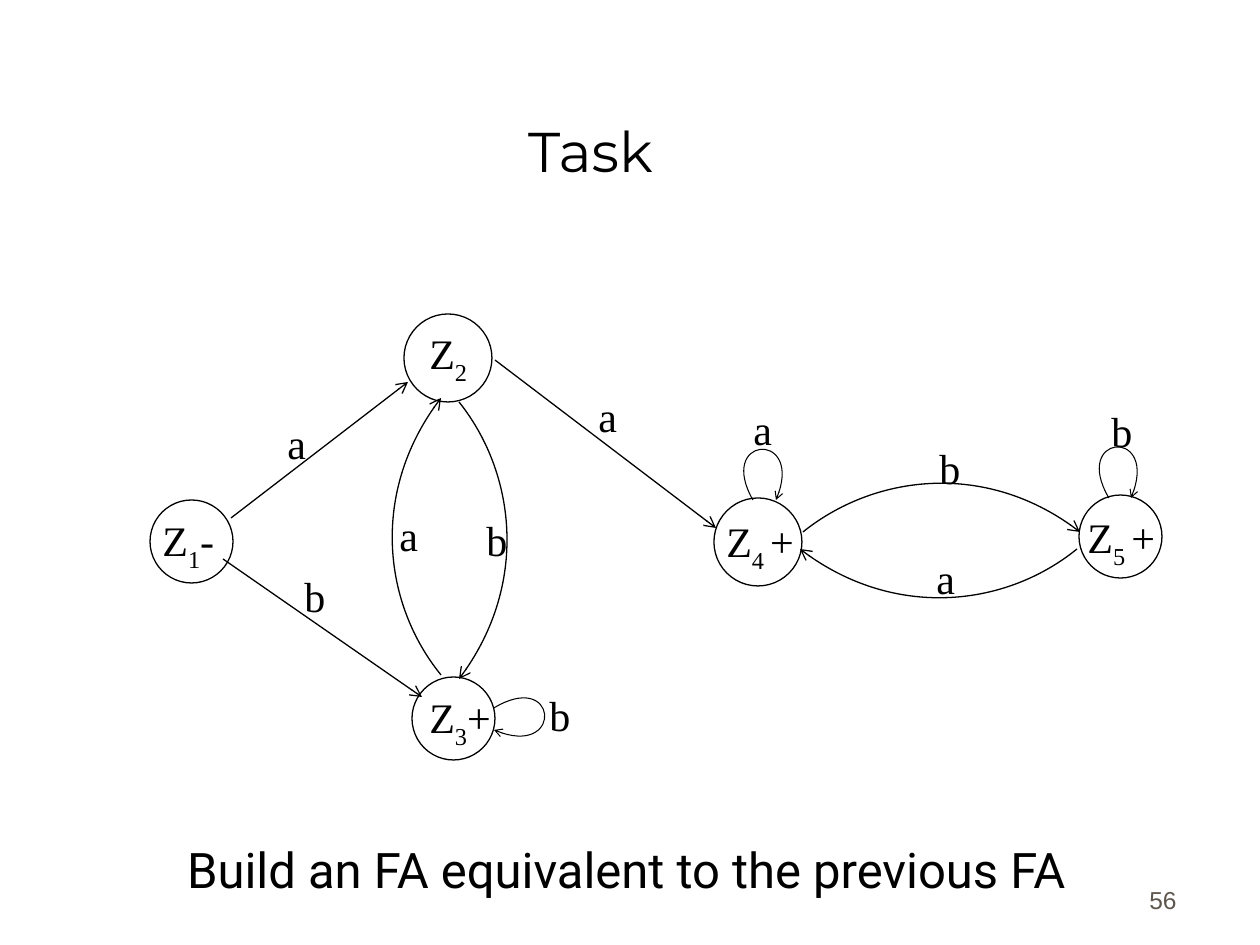
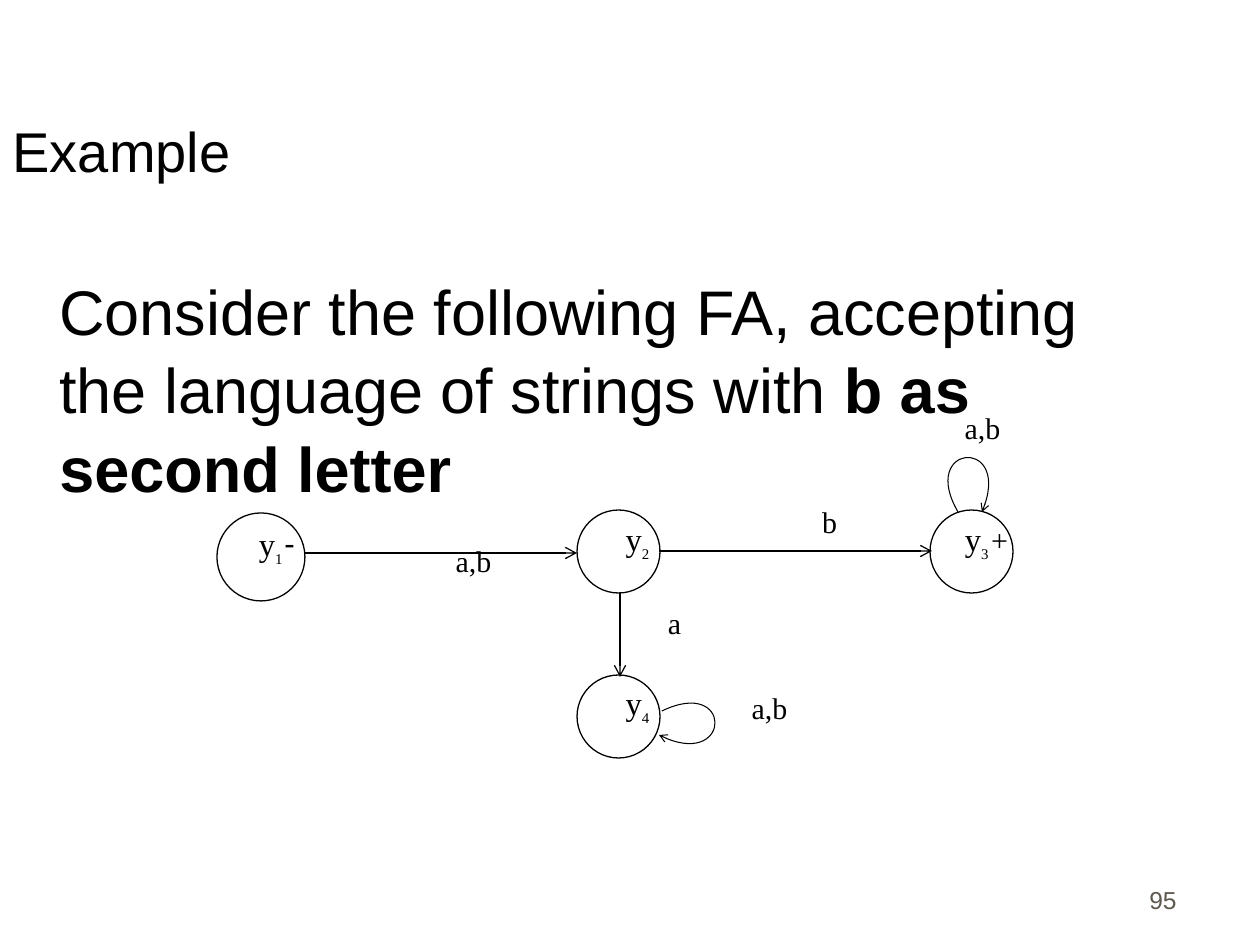
from lxml import etree
from pptx import Presentation
from pptx.dml.color import RGBColor
from pptx.enum.shapes import MSO_CONNECTOR, MSO_SHAPE
from pptx.enum.text import MSO_ANCHOR, PP_ALIGN
from pptx.oxml.ns import qn
from pptx.util import Emu, Pt

LEFT, CENTER, RIGHT = PP_ALIGN.LEFT, PP_ALIGN.CENTER, PP_ALIGN.RIGHT
TOP, BOTTOM = MSO_ANCHOR.TOP, MSO_ANCHOR.BOTTOM
OVAL = MSO_SHAPE.OVAL
STRAIGHT = MSO_CONNECTOR.STRAIGHT

SCALE = 914400 / 126
BLACK, WHITE, GREY = "000000", "FFFFFF", "5E574E"
SANS, SERIF, HEAD, BODY = "Arial", "Times New Roman", "Montserrat", "Roboto"


def px(value):
    return Emu(round(value * SCALE))


def color(value):
    return RGBColor.from_string(value)


def style(run, size, font, ink=BLACK, bold=False, low=False):
    run.font.size = Pt(size)
    run.font.name = font
    run.font.bold = bold
    run.font.color.rgb = color(ink)
    if low:
        run.font._element.set("baseline", "-30000")


def write(slide, box, parts, align=LEFT, anchor=TOP, space=None):
    frame = slide.shapes.add_textbox(*map(px, box)).text_frame
    frame.word_wrap = True
    frame.vertical_anchor = anchor
    para = frame.paragraphs[0]
    para.alignment = align
    if space:
        para.line_spacing = space
    for text, look in parts:
        run = para.add_run()
        run.text = text
        style(run, **look)


def add_page(deck, title, left, font, align, number):
    slide = deck.slides.add_slide(deck.slide_layouts[5])
    head = slide.shapes.title
    head.left, head.top, head.width, head.height = map(px, (left, 32, 1071, 158))
    frame = head.text_frame
    frame.text = title
    frame.vertical_anchor = BOTTOM
    para = frame.paragraphs[0]
    para.alignment = align
    style(para.runs[0], 32, font)
    look = dict(size=14, font=SANS, ink=GREY)
    write(slide, (927, 858, 262, 63), [(number, look)], RIGHT, BOTTOM)
    return slide


def outline(shape, width):
    shape.line.color.rgb = color(BLACK)
    shape.line.width = Pt(width)


def add_head(shape, size):
    line = shape._element.spPr.find(qn("a:ln"))
    etree.SubElement(line, qn("a:tailEnd"), type="arrow", w=size, len=size)


def add_ring(slide, left, top, size):
    ring = slide.shapes.add_shape(OVAL, px(left), px(top), px(size), px(size))
    ring.shadow.inherit = False
    ring.fill.solid()
    ring.fill.fore_color.rgb = color(WHITE)
    outline(ring, 0.75)


def add_arrow(slide, *ends):
    arrow = slide.shapes.add_connector(STRAIGHT, *map(px, ends))
    outline(arrow, 0.75)
    add_head(arrow, "med")
    etree.SubElement(arrow._element.spPr, qn("a:effectLst"))


def add_curve(slide, points, width=0.75, head="med"):
    draft = slide.shapes.build_freeform(*points[0], scale=SCALE)
    draft.add_line_segments(points[1:], close=False)
    curve = draft.convert_to_shape()
    track = next(curve._element.iter(qn("a:path")))
    bend = etree.Element(qn("a:cubicBezTo"))
    for step in track.findall(qn("a:lnTo")):
        bend.append(step[0])
        track.remove(step)
    track.append(bend)
    curve.fill.background()
    outline(curve, width)
    add_head(curve, head)
    curve.shadow.inherit = False


def add_loop(slide, points):
    add_curve(slide, points, 0.6, "sm")


def build_task(deck):
    slide = add_page(deck, "Task", 55, HEAD, CENTER, "56")
    goal = "Build an FA equivalent to the previous FA"
    write(slide, (63, 833, 1126, 70), [(goal, dict(size=28, font=BODY))], CENTER)

    states = [
        ((150, 500, 83), (150, 508), "1", "-"),
        ((404, 314, 88), (417, 321), "2", ""),
        ((412, 677, 83), (417, 685), "3", "+"),
        ((714, 498, 88), (714, 509), "4 ", "+"),
        ((1079, 495, 83), (1075, 505), "5 ", "+"),
    ]
    plain = dict(size=24, font=SERIF)
    low = dict(plain, low=True)
    for ring, spot, digit, sign in states:
        add_ring(slide, *ring)
        parts = [("Z", plain), (digit, low)]
        if sign:
            parts.append((sign, plain))
        write(slide, (*spot, 98, 72), parts)

    for ends in [(495, 360, 716, 528), (231, 518, 408, 382), (223, 559, 422, 697)]:
        add_arrow(slide, *ends)

    arcs = [
        [(441, 675), (384, 605), (370, 490), (441, 398)],
        [(459, 402), (515, 472), (529, 587), (459, 679)],
        [(1077, 549), (1007, 606), (892, 620), (800, 549)],
        [(803, 532), (874, 475), (989, 461), (1080, 532)],
    ]
    for points in arcs:
        add_curve(slide, points)

    loops = [
        [(494, 708), (557, 670), (564, 760), (494, 730)],
        [(1109, 498), (1072, 435), (1161, 427), (1131, 498)],
        [(753, 500), (717, 437), (806, 430), (776, 500)],
    ]
    for points in loops:
        add_loop(slide, points)

    labels = {
        "a": [(387, 503), (586, 384), (741, 397), (924, 546), (275, 411)],
        "b": [(292, 564), (474, 508), (537, 683), (927, 436), (1099, 399)],
    }
    for text, spots in labels.items():
        for spot in spots:
            write(slide, (*spot, 98, 63), [(text, plain)])


def build_sample(deck):
    slide = add_page(deck, "Example", 0, SANS, LEFT, "95")
    plain = dict(size=36, font=SANS)
    intro = "Consider the following FA, accepting the language of strings with "
    parts = [(intro, plain), ("b as second letter", dict(plain, bold=True))]
    write(slide, (47, 263, 1079, 240), parts, space=1.04)

    states = [
        ((217, 513, 88), (226, 523), "1", "-", dict(size=18.6, font=BODY)),
        ((577, 510, 83), (587, 518), "2", "", None),
        ((930, 510, 83), (936, 518), "3", "+", dict(size=17.1, font=SERIF)),
        ((577, 675, 83), (587, 682), "4", "", None),
    ]
    name = dict(size=18.6, font=SERIF)
    low = dict(size=14.7, font=SERIF, low=True)
    gap = dict(low, size=10.1)
    for ring, spot, digit, sign, look in states:
        add_ring(slide, *ring)
        parts = [("y", name), (digit, low)]
        if sign:
            parts += [(" ", gap), (sign, look)]
        write(slide, (*spot, 101, 57), parts, CENTER, space=0.8)

    for ends in [(305, 553, 577, 553), (659, 551, 932, 551), (620, 592, 620, 677)]:
        add_arrow(slide, *ends)

    loops = [
        [(958, 512), (919, 445), (1014, 436), (982, 512)],
        [(662, 711), (732, 677), (732, 772), (659, 735)],
    ]
    for points in loops:
        add_loop(slide, points)

    labels = {
        "a,b": [(919, 410), (410, 543), (706, 690)],
        "b": [(766, 504)],
        "a": [(611, 605)],
    }
    for text, spots in labels.items():
        for spot in spots:
            parts = [(text, dict(size=17.1, font=SERIF))]
            write(slide, (*spot, 127, 52), parts, CENTER, space=0.8)


def main():
    deck = Presentation()
    deck.slide_width, deck.slide_height = px(1260), px(945)
    build_task(deck)
    build_sample(deck)
    deck.save("out.pptx")


if __name__ == "__main__":
    main()
